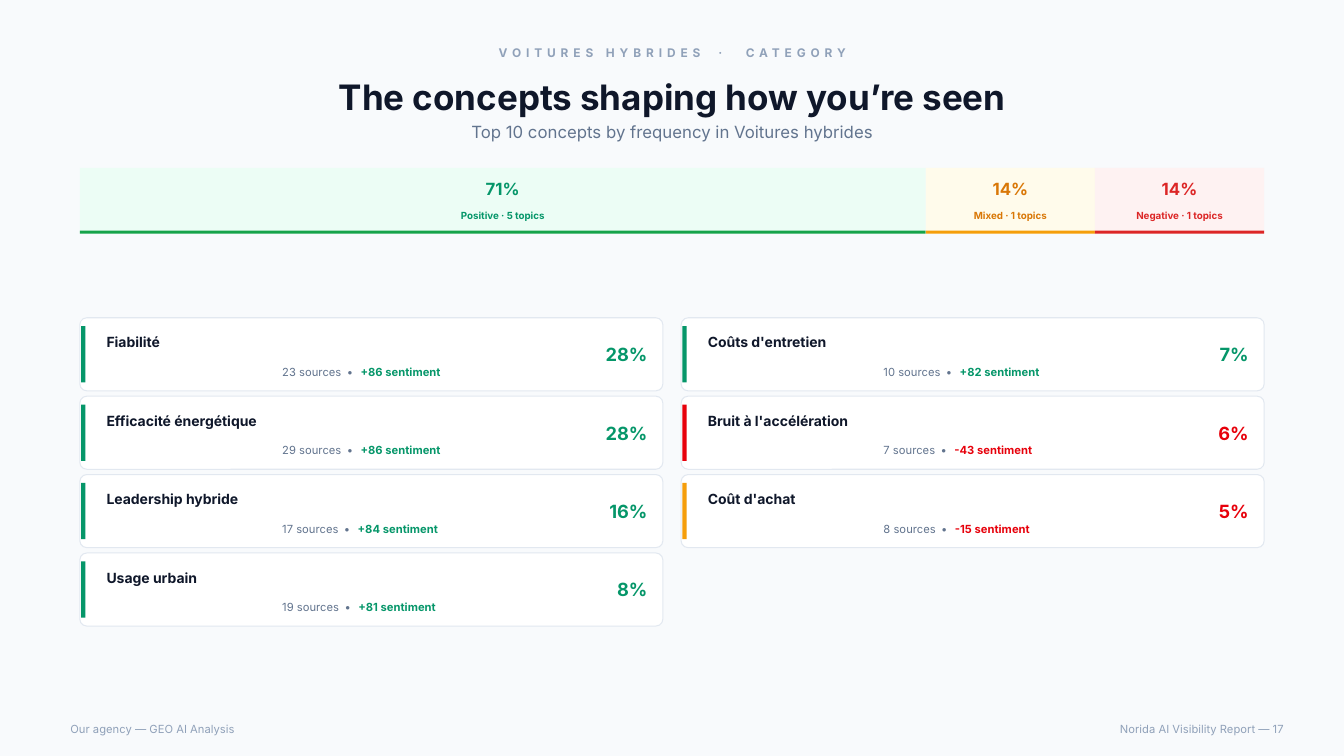
from pptx import Presentation
from pptx.dml.color import RGBColor
from pptx.enum import shapes, text
from pptx.util import Pt

FONT = "Inter"
PAGE = RGBColor(0xF8, 0xFA, 0xFC)
WHITE = RGBColor(0xFF, 0xFF, 0xFF)
BORDER = RGBColor(0xE2, 0xE8, 0xF0)
INK = RGBColor(0x0F, 0x17, 0x2A)
SLATE = RGBColor(0x62, 0x74, 0x8E)
MUTED = RGBColor(0x90, 0xA1, 0xB9)
GREEN = RGBColor(0x05, 0x96, 0x69)
GREEN_LINE = RGBColor(0x16, 0xA3, 0x4A)
GREEN_TINT = RGBColor(0xEC, 0xFD, 0xF5)
AMBER = RGBColor(0xF5, 0x9E, 0x0B)
AMBER_TEXT = RGBColor(0xD9, 0x77, 0x06)
AMBER_TINT = RGBColor(0xFF, 0xFB, 0xEB)
RED = RGBColor(0xE7, 0x00, 0x0B)
RED_TEXT = RGBColor(0xDC, 0x26, 0x26)
RED_TINT = RGBColor(0xFE, 0xF2, 0xF2)

CATEGORY = ("VOITURES HYBRIDES", "CATEGORY")
TITLE = "The concepts shaping how you’re seen"
SUBTITLE = "Top 10 concepts by frequency in Voitures hybrides"
FOOTER_LEFT = "Our agency — GEO AI Analysis"
FOOTER_RIGHT = "Norida AI Visibility Report — 17"

# share, label, topics, tint, underline, text colour
SENTIMENTS = [
    ("71%", "Positive", 5, GREEN_TINT, GREEN_LINE, GREEN),
    ("14%", "Mixed", 1, AMBER_TINT, AMBER, AMBER_TEXT),
    ("14%", "Negative", 1, RED_TINT, RED_TEXT, RED_TEXT),
]
# concept, sources, sentiment, share, accent, text colour
CONCEPTS = [
    ("Fiabilité", 23, "+86", "28%", GREEN, GREEN),
    ("Efficacité énergétique", 29, "+86", "28%", GREEN, GREEN),
    ("Leadership hybride", 17, "+84", "16%", GREEN, GREEN),
    ("Usage urbain", 19, "+81", "8%", GREEN, GREEN),
    ("Coûts d'entretien", 10, "+82", "7%", GREEN, GREEN),
    ("Bruit à l'accélération", 7, "-43", "6%", RED, RED),
    ("Coût d'achat", 8, "-15", "5%", AMBER, RED),
]

SLIDE_W, SLIDE_H = 960, 540
HEAD_X, HEAD_W = 43.2, 874
GRID_X, GRID_W = 57, 846
BAR_Y, BAR_H, UNDERLINE_H = 120, 47, 2.2
CARD_Y, CARD_W, CARD_H, CARD_RADIUS = 227, 416.5, 52.2, 5
COLUMN_GAP, ROW_GAP, ROWS = 13, 3.8, 4

LEFT, CENTER, RIGHT = text.PP_ALIGN.LEFT, text.PP_ALIGN.CENTER, text.PP_ALIGN.RIGHT
TOP, MIDDLE = text.MSO_ANCHOR.TOP, text.MSO_ANCHOR.MIDDLE

prs = Presentation()
prs.slide_width, prs.slide_height = Pt(SLIDE_W), Pt(SLIDE_H)
slide = prs.slides.add_slide(prs.slide_layouts[6])


def add_box(x, y, w, h, fill, kind=shapes.MSO_SHAPE.RECTANGLE):
    box = slide.shapes.add_shape(kind, Pt(x), Pt(y), Pt(w), Pt(h))
    box.shadow.inherit = False
    box.fill.solid()
    box.fill.fore_color.rgb = fill
    box.line.fill.background()
    return box


def add_text(x, y, w, h, runs, size, align=LEFT, anchor=MIDDLE, wrap=True):
    """Add one line of text; each run is (words, colour, bold, letter spacing)."""
    frame = slide.shapes.add_textbox(Pt(x), Pt(y), Pt(w), Pt(h)).text_frame
    frame.word_wrap = wrap
    frame.vertical_anchor = anchor
    paragraph = frame.paragraphs[0]
    paragraph.alignment = align
    for words, colour, bold, spacing in runs:
        run = paragraph.add_run()
        run.text = words
        run.font.name, run.font.size = FONT, Pt(size)
        run.font.bold, run.font.color.rgb = bold, colour
        if spacing:
            run.font._element.set("spc", str(round(spacing * 100)))


def add_sentiment(x, w, share, label, topics, tint, underline, colour):
    add_box(x, BAR_Y, w, BAR_H, tint)
    add_box(x, BAR_Y + BAR_H - UNDERLINE_H, w, UNDERLINE_H, underline)
    add_text(x, BAR_Y + 5, w, 20, [(share, colour, True, 0)], 12, CENTER)
    caption = f"{label} · {topics} topics"
    add_text(x, BAR_Y + 26, w, 16, [(caption, colour, True, 0)], 7, CENTER)


def add_concept(x, y, concept, sources, sentiment, share, accent, colour):
    card = add_box(x, y, CARD_W, CARD_H, WHITE, shapes.MSO_SHAPE.ROUNDED_RECTANGLE)
    card.adjustments[0] = CARD_RADIUS / CARD_H
    card.line.color.rgb = BORDER
    card.line.width = Pt(0.75)
    add_box(x + 1, y + 6, 3, 40.2, accent)
    add_text(x + 12, y + 8, 326, 19.5, [(concept, INK, True, 0)], 10, anchor=TOP)
    details = [
        (f"{sources} sources", SLATE, False, 0),
        (" • ", SLATE, False, 1.5),
        (f"{sentiment} sentiment", colour, True, 0),
    ]
    add_text(x + 137.5, y + 30.3, 201, 16, details, 8, anchor=TOP)
    add_text(x + 360.5, y, 52, CARD_H, [(share, colour, True, 0)], 13, RIGHT, wrap=False)


add_box(0, 0, SLIDE_W, SLIDE_H, PAGE)

market, scope = CATEGORY
category_runs = [(market, MUTED, True, 3.5), (" · ", MUTED, True, 7.3), (scope, MUTED, True, 3.5)]
add_text(HEAD_X, 28.8, HEAD_W, 18, category_runs, 8.5, CENTER)
add_text(HEAD_X, 49, HEAD_W, 40.3, [(TITLE, INK, True, 0)], 25, CENTER)
add_text(HEAD_X, 85, HEAD_W, 18, [(SUBTITLE, SLATE, False, 0)], 12, CENTER)
add_text(HEAD_X, 512.6, 430, 16, [(FOOTER_LEFT, MUTED, False, 0)], 8)
add_text(490.3, 512.6, 434, 16, [(FOOTER_RIGHT, MUTED, False, 0)], 8, RIGHT)

topic_w = GRID_W / sum(sentiment[2] for sentiment in SENTIMENTS)
segment_x = GRID_X
for sentiment in SENTIMENTS:
    segment_w = sentiment[2] * topic_w
    add_sentiment(segment_x, segment_w, *sentiment)
    segment_x += segment_w

for index, concept in enumerate(CONCEPTS):
    column, row = divmod(index, ROWS)
    add_concept(GRID_X + column * (CARD_W + COLUMN_GAP),
                CARD_Y + row * (CARD_H + ROW_GAP), *concept)

prs.save("out.pptx")
